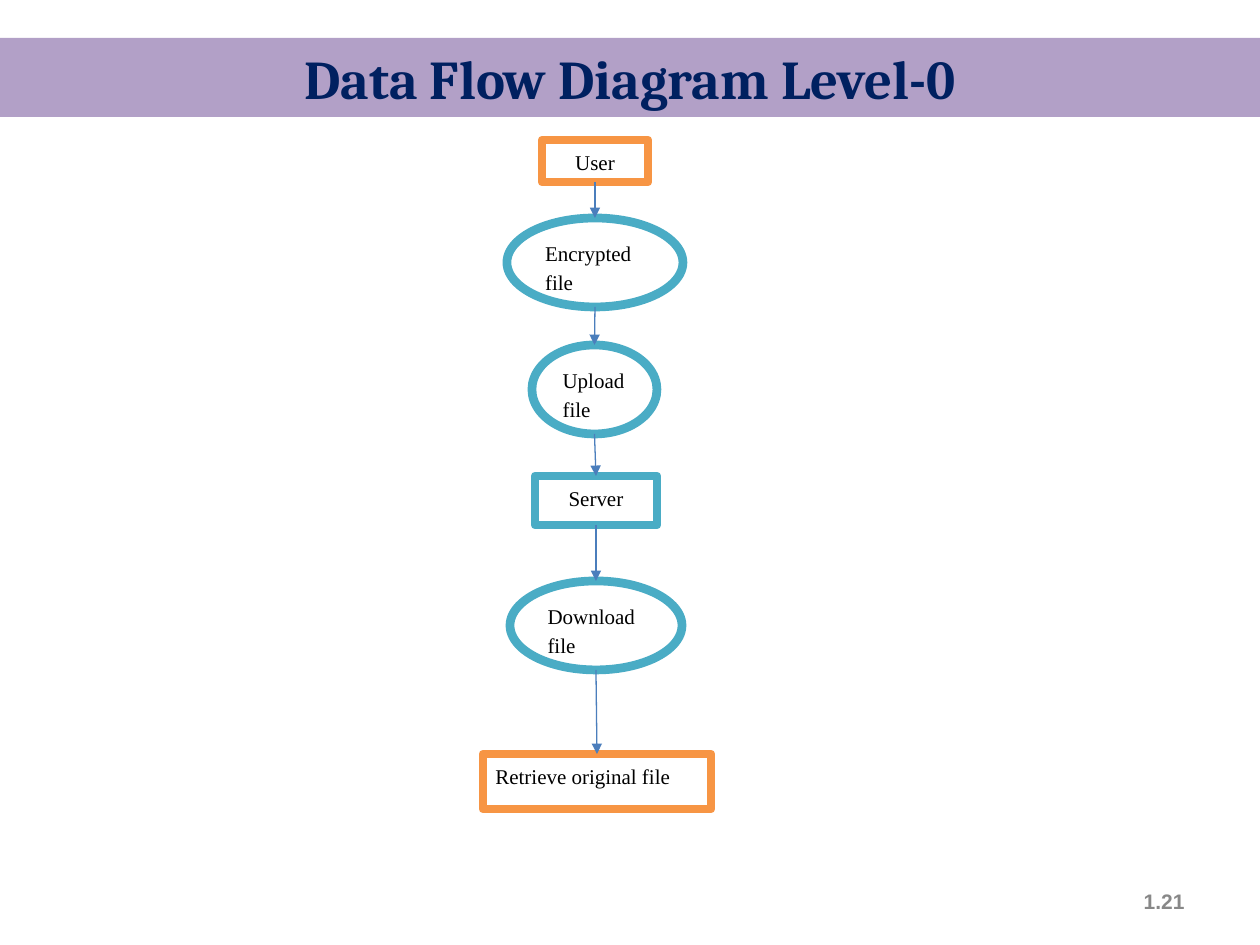
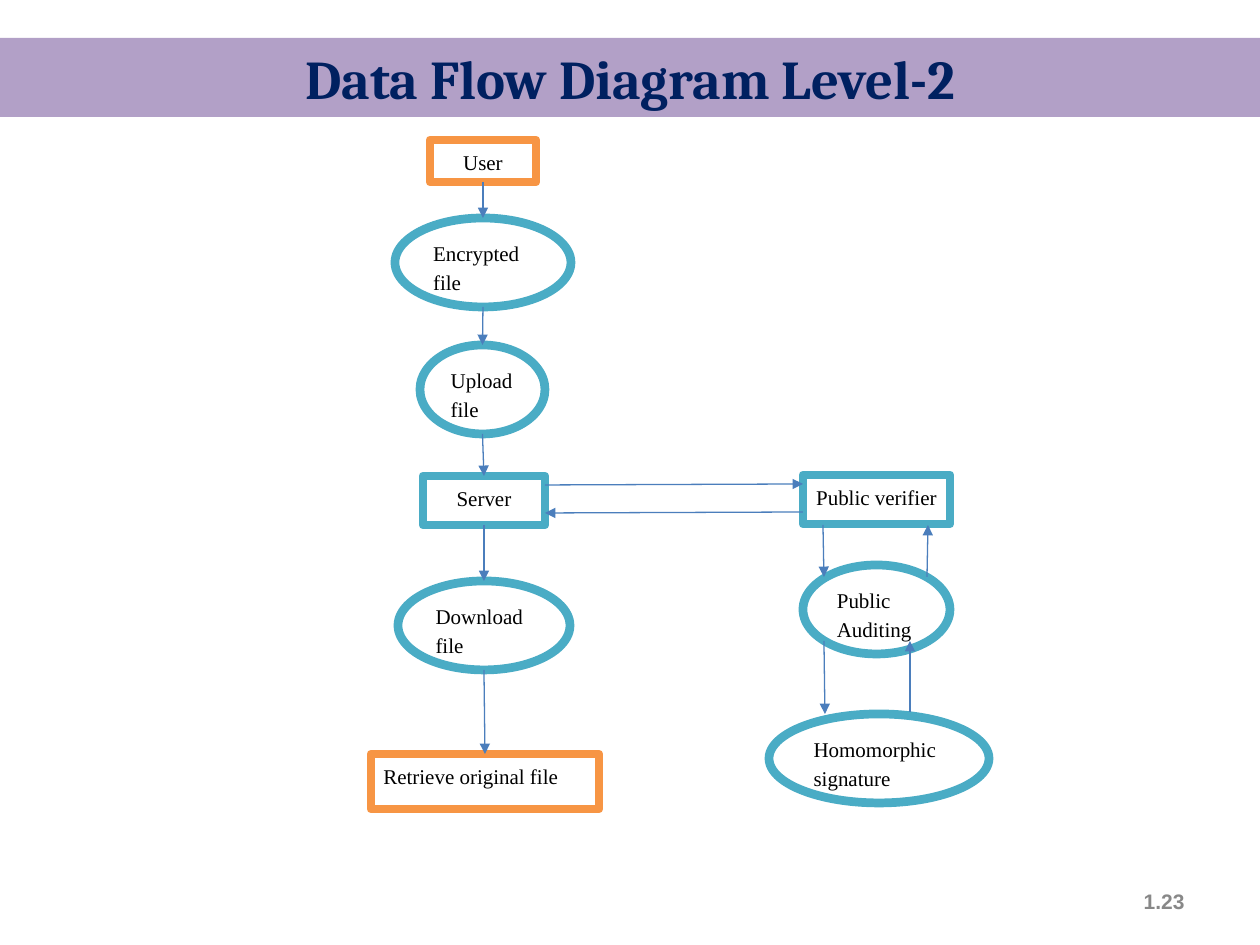
from lxml import etree
from pptx import Presentation
from pptx import util as u
from pptx.dml.color import RGBColor
from pptx.enum import shapes, text
from pptx.oxml.ns import qn

# Content: node = (label, outline, kind, left, top, width, height) in px
MAIN_FLOW = [
    ("User", "orange", "box", 542, 140, 106, 42),
    ("Encrypted file", "teal", "oval", 507, 218, 176, 89),
    ("Upload file", "teal", "oval", 532, 345, 125, 89),
    ("Server", "teal", "box", 535, 476, 122, 49),
    ("Download file", "teal", "oval", 510, 581, 172, 89),
    ("Retrieve original file", "orange", "box", 483, 754, 228, 55),
]
AUDIT_NODES = [
    ("Public verifier", "teal", "box", 803, 475, 147, 49),
    ("Public Auditing", "teal", "oval", 803, 565, 147, 89),
    ("Homomorphic signature", "teal", "oval", 769, 714, 220, 89),
]
AUDIT_ARROWS = [  # x1, y1, x2, y2
    (545, 485, 803, 484),  # server to verifier
    (803, 512, 545, 513),
    (823, 525, 824, 577),  # verifier to auditing
    (927, 577, 928, 525),
    (824, 641, 825, 714),  # auditing to signature
    (910, 712, 910, 641),
]
SLIDES = [
    dict(title="Data Flow Diagram Level-0", number="1.21", shift=0,
         nodes=[], arrows=[]),
    dict(title="Data Flow Diagram Level-2", number="1.23", shift=-112,
         nodes=AUDIT_NODES, arrows=AUDIT_ARROWS),
]
LEFT_ALIGNED = {"Retrieve original file"}
BAND = (0, 38, 1260, 79)
NUMBER = (903, 876, 294, 50)


class Theme:
    band, title, number = "B2A0C7", "002060", "888888"
    fill, ink, arrow = "FFFFFF", "000000", "4B7EBC"
    outline = {"orange": "F79544", "teal": "4AACC5"}
    title_font, node_font, number_font = "Cambria", "Times New Roman", "Arial"
    title_size, body_size = 31.2, 12
    node_line, arrow_line = 5, 0.75


KINDS = {"box": shapes.MSO_SHAPE.RECTANGLE, "oval": shapes.MSO_SHAPE.OVAL}
TOP, BOTTOM = 0, 2
EMU_PER_PX = 914400 / 126


def px(*values):
    return [u.Emu(round(v * EMU_PER_PX)) for v in values]


def rgb(code):
    return RGBColor.from_string(code)


def paint(sp, color):
    sp.fill.solid()
    sp.fill.fore_color.rgb = rgb(color)


def write(sp, words, font, size, color, align, anchor, bold=False):
    tf = sp.text_frame
    tf.text = words
    tf.word_wrap = True
    tf.auto_size = text.MSO_AUTO_SIZE.NONE
    tf.vertical_anchor = anchor
    p = tf.paragraphs[0]
    p.alignment = align
    f = p.runs[0].font
    f.name, f.size, f.bold = font, u.Pt(size), bold
    f.color.rgb = rgb(color)
    return p


def add_frame(s, title, number):
    # Title band
    sp = s.shapes.title
    sp.left, sp.top, sp.width, sp.height = px(*BAND)
    paint(sp, Theme.band)
    write(sp, title, Theme.title_font, Theme.title_size, Theme.title,
          text.PP_ALIGN.CENTER, text.MSO_ANCHOR.MIDDLE, bold=True)
    # Slide number
    write(s.shapes.add_textbox(*px(*NUMBER)), number, Theme.number_font,
          Theme.body_size, Theme.number, text.PP_ALIGN.RIGHT,
          text.MSO_ANCHOR.MIDDLE, bold=True)


def add_node(s, label, outline, kind, left, top, width, height):
    sp = s.shapes.add_shape(KINDS[kind], *px(left, top, width, height))
    sp.shadow.inherit = False
    paint(sp, Theme.fill)
    sp.line.color.rgb = rgb(Theme.outline[outline])
    sp.line.width = u.Pt(Theme.node_line)
    centred = kind == "box" and label not in LEFT_ALIGNED
    align = text.PP_ALIGN.CENTER if centred else text.PP_ALIGN.LEFT
    p = write(sp, label, Theme.node_font, Theme.body_size, Theme.ink,
              align, text.MSO_ANCHOR.TOP)
    p.line_spacing, p.space_after = 1.14, u.Pt(10)
    return sp


def add_arrow(s, *ends):
    c = s.shapes.add_connector(shapes.MSO_CONNECTOR.STRAIGHT, *ends)
    c.line.color.rgb = rgb(Theme.arrow)
    c.line.width = u.Pt(Theme.arrow_line)
    etree.SubElement(c.line._get_or_add_ln(), qn("a:tailEnd"), type="triangle")
    etree.SubElement(c._element.spPr, qn("a:effectLst"))
    return c


def link_down(s, upper, lower):
    c = add_arrow(s, upper.left + upper.width // 2, upper.top + upper.height,
                  lower.left + lower.width // 2, lower.top)
    if upper.auto_shape_type == KINDS["box"]:
        c.begin_connect(upper, BOTTOM)
    if lower.auto_shape_type == KINDS["box"]:
        c.end_connect(lower, TOP)


def main():
    prs = Presentation()
    prs.slide_width, prs.slide_height = px(1260, 945)
    for page in SLIDES:
        s = prs.slides.add_slide(prs.slide_layouts[5])
        add_frame(s, page["title"], page["number"])
        # Main column, linked from top to bottom
        column = [add_node(s, label, outline, kind, left + page["shift"], *rest)
                  for label, outline, kind, left, *rest in MAIN_FLOW]
        # Auditing side
        for node in page["nodes"]:
            add_node(s, *node)
        for upper, lower in zip(column, column[1:]):
            link_down(s, upper, lower)
        for ends in page["arrows"]:
            add_arrow(s, *px(*ends))
    prs.save("out.pptx")


if __name__ == "__main__":
    main()
